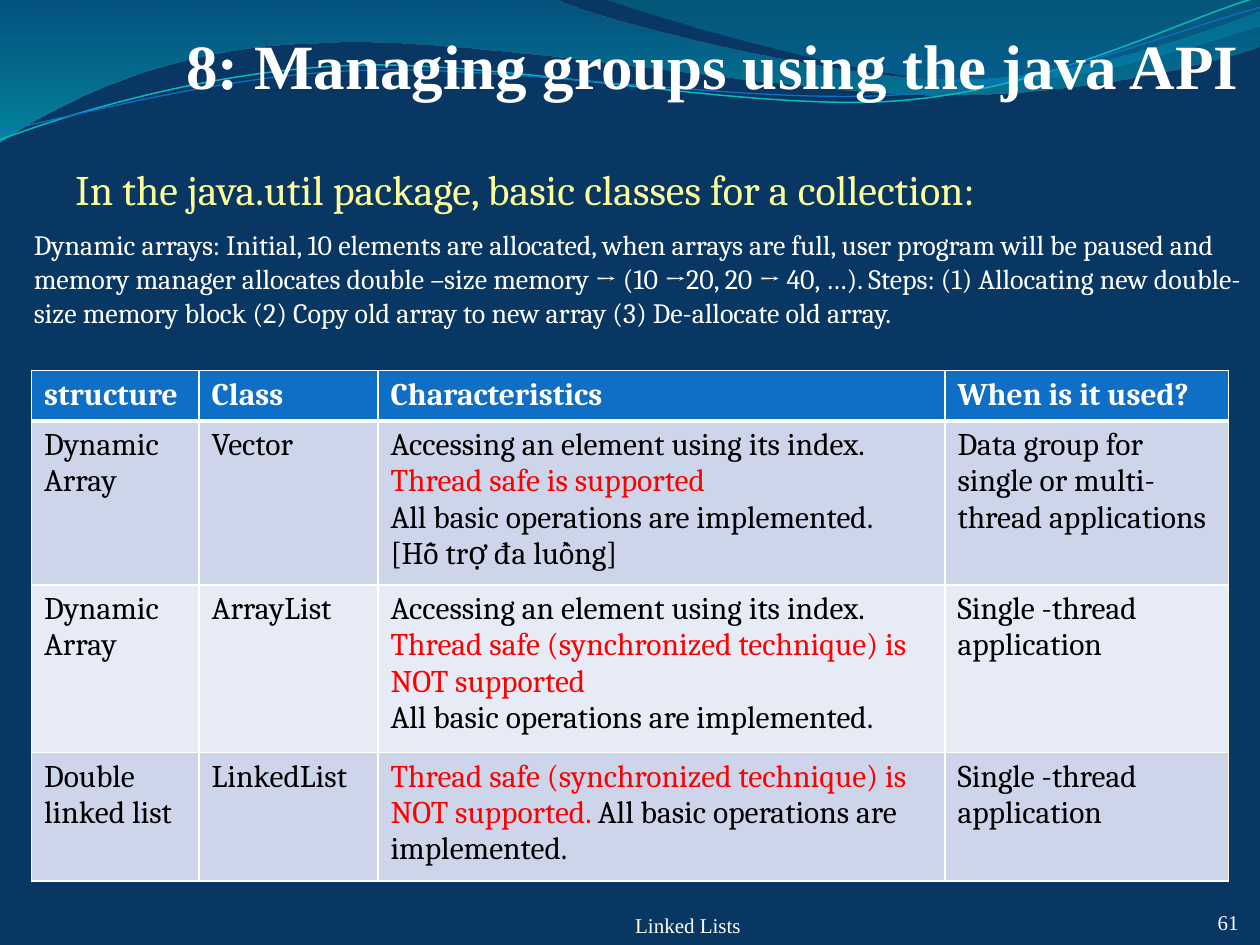
from math import cos, radians, sin

from pptx import Presentation
from pptx.dml.color import RGBColor
from pptx.enum.text import MSO_ANCHOR as Anchor, MSO_AUTO_SIZE as AutoSize, PP_ALIGN as Align
from pptx.oxml.ns import qn
from pptx.util import Inches, Pt
from lxml.etree import SubElement, Element

WHITE, BLACK, RED, YELLOW = "FFFFFF", "000000", "FF0000", "FFFF99"
NAVY, BLUE, TEAL = "083763", "0F6FC6", "0AB8BF"
BAND_DARK, BAND_LIGHT = "CCD5EA", "E7EBF5"
SERIF, BODY = "Times New Roman", "Cambria"
TILT = 357.3

BROAD_WAVE = [
    (0, 0), (4.4, -0.01),
    (4.76, 0.17, 6.64, 0.63, 7.58, 0.63), (8.53, 0.63, 9.58, 0.26, 10, 0.09),
    (10.01, 0.36),
    (9.83, 0.44, 8.7, 0.76, 7.46, 0.75), (6.22, 0.75, 3.82, 0.28, 2.57, 0.34),
    (1.29, 0.36, 0.46, 0.83, -0.01, 1.13), (0, 0)]
RIGHT_WAVE = [
    (4.79, -0.01),
    (5.09, 0.11, 6.82, 0.62, 7.69, 0.65), (8.56, 0.69, 9.61, 0.32, 10, 0.21),
    (10, 0), (4.79, -0.01)]
TEAL_STRAND = [
    (0, 1.11),
    (0.48, 0.93, 1.58, 0.57, 2.77, 0.52), (3.95, 0.47, 5.93, 0.89, 7.13, 0.8),
    (8.33, 0.71, 9.38, 0.15, 9.98, -0.02)]
BLUE_STRAND = [
    (0, 1.04),
    (0.47, 0.96, 1.64, 0.61, 2.83, 0.56), (4.03, 0.51, 5.97, 0.84, 7.17, 0.75),
    (8.36, 0.67, 9.41, 0.21, 10, 0.06)]

INDEXED = "Accessing an element using its index."
ALL_BASIC = "All basic operations are implemented."
NOT_SAFE = "Thread safe (synchronized technique) is NOT supported"
HEADINGS = ["structure", "Class", "Characteristics", "When is it used?"]
STRUCTURES = [
    ["Dynamic Array", "Vector",
     [[(INDEXED, BLACK)], [("Thread safe is supported", RED)],
      [(ALL_BASIC, BLACK)], [("[Hỗ trợ đa luồng]", BLACK)]],
     "Data group for single or multi-thread applications"],
    ["Dynamic Array", "ArrayList",
     [[(INDEXED + " ", BLACK), (NOT_SAFE, RED)], [(ALL_BASIC, BLACK)]],
     "Single -thread application"],
    ["Double linked list", "LinkedList",
     [[(NOT_SAFE + ". ", RED), (ALL_BASIC, BLACK)]],
     "Single -thread application"]]
ALLOCATION = (
    "Dynamic arrays: Initial, 10 elements are allocated, when arrays are full, "
    "user program will be paused and memory manager allocates double –size memory "
    "→ (10 →20, 20 → 40, …). Steps: (1) Allocating new double-size memory block "
    "(2) Copy old array to new array (3) De-allocate old array.")


def rgb(color):
    """Turn a hex string into a colour."""
    return RGBColor.from_string(color)


def add_run(paragraph, text, size, color, font=BODY, bold=False):
    """Append one formatted run."""
    run = paragraph.add_run()
    run.text = text
    run.font.size, run.font.name, run.font.bold = Pt(size), font, bold
    run.font.color.rgb = rgb(color)


def add_text(slide, box, text, size, color=WHITE, font=BODY, bold=False,
             align=Align.LEFT, anchor=Anchor.TOP, insets=None):
    """Place a line or paragraph of text; without insets the box fits its text."""
    frame = slide.shapes.add_textbox(*map(Inches, box)).text_frame
    frame.word_wrap = True
    frame.vertical_anchor = anchor
    if insets is None:
        frame.auto_size = AutoSize.SHAPE_TO_FIT_TEXT
    else:
        (frame.margin_left, frame.margin_top,
         frame.margin_right, frame.margin_bottom) = map(Inches, insets)
    paragraph = frame.paragraphs[0]
    paragraph.alignment = align
    add_run(paragraph, text, size, color, font, bold)


def untilt(points, angle):
    """Turn points back by an angle around the middle of their extent."""
    middle_x, middle_y = ((min(axis) + max(axis)) / 2 for axis in zip(*points))
    c, s = cos(radians(-angle)), sin(radians(-angle))
    return [(middle_x + (x - middle_x) * c - (y - middle_y) * s,
             middle_y + (x - middle_x) * s + (y - middle_y) * c) for x, y in points]


def add_outline(slide, origin, outline, close, tilt=0):
    """Draw an outline of lines and cubic curves relative to an origin."""
    left, top = origin
    nodes = [segment[i:i + 2] for segment in outline for i in range(0, len(segment), 2)]
    points = [(Inches(left + x), Inches(top + y)) for x, y in untilt(nodes, tilt)]
    builder = slide.shapes.build_freeform(*points[0])
    builder.add_line_segments(points[1:], close=close)
    shape = builder.convert_to_shape()
    shape.shadow.inherit = False
    shape.rotation = tilt
    lines = iter(list(shape._element.spPr.iter(qn("a:lnTo"))))
    for segment in outline[1:]:
        first = next(lines)
        if len(segment) == 6:
            first.tag = qn("a:cubicBezTo")
            for line in (next(lines), next(lines)):
                first.append(line[0])
                line.getparent().remove(line)
    return shape


def add_wave(slide, origin, outline, stops):
    """Draw a wave filled with a see-through downward gradient."""
    wave = add_outline(slide, origin, outline, True)
    wave.line.fill.background()
    wave.fill.gradient()
    wave.fill.gradient_angle = 270
    for stop, (position, color, _) in zip(wave.fill.gradient_stops, stops):
        stop.position = position
        stop.color.rgb = rgb(color)
    shades = wave._element.spPr.iter(qn("a:srgbClr"))
    for shade, (_, _, opacity) in zip(shades, stops):
        SubElement(shade, qn("a:alpha"), val=str(opacity * 1000))


def add_strand(slide, origin, outline, color, width):
    """Draw a thin curved line."""
    strand = add_outline(slide, origin, outline, False, TILT)
    strand.fill.background()
    strand.line.color.rgb = rgb(color)
    strand.line.width = Pt(width)


def add_backdrop(slide, origin):
    """Colour the background and lay the waves across its top."""
    slide.background.fill.solid()
    slide.background.fill.fore_color.rgb = rgb(NAVY)
    add_wave(slide, origin, BROAD_WAVE, [(0, "0074A1", 45), (1, "00C6CF", 55)])
    add_wave(slide, origin, RIGHT_WAVE, [(0, "00A1A9", 30), (0.8, "008BBF", 45)])
    add_strand(slide, origin, TEAL_STRAND, TEAL, 0.85)
    add_strand(slide, origin, BLUE_STRAND, BLUE, 0.75)


def add_borders(cell, top=1, bottom=1):
    """Rule a cell in white."""
    properties = cell._tc.get_or_add_tcPr()
    widths = {"a:lnL": 1, "a:lnR": 1, "a:lnT": top, "a:lnB": bottom}
    for index, (side, width) in enumerate(widths.items()):
        border = Element(qn(side), w=str(Pt(width)))
        SubElement(SubElement(border, qn("a:solidFill")), qn("a:srgbClr"), val=WHITE)
        properties.insert(index, border)


def add_structure_table(slide, box):
    """Compare the collection classes in a table."""
    rows = [HEADINGS] + STRUCTURES
    holder = slide.shapes.add_table(len(rows), len(HEADINGS), *map(Inches, box))
    table = holder.table
    for column, width in zip(table.columns, (1.33, 1.42, 4.5, 2.25)):
        column.width = Inches(width)
    for row, height in zip(table.rows, (0.17, 1, 1.33, 1.02)):
        row.height = Inches(height)
    holder.height = Inches(box[3])
    fills = [BLUE, BAND_DARK, BAND_LIGHT, BAND_DARK]
    for r, (entries, fill) in enumerate(zip(rows, fills)):
        header = r == 0
        for c, entry in enumerate(entries):
            cell = table.cell(r, c)
            cell.fill.solid()
            cell.fill.fore_color.rgb = rgb(fill)
            add_borders(cell, top=3 if r == 1 else 1, bottom=3 if header else 1)
            if isinstance(entry, str):
                entry = [[(entry, WHITE if header else BLACK)]]
            frame = cell.text_frame
            for p, runs in enumerate(entry):
                paragraph = frame.add_paragraph() if p else frame.paragraphs[0]
                for text, color in runs:
                    add_run(paragraph, text, 18, color, bold=header)


def add_footer(slide, box, text, align):
    """Place a footer entry."""
    add_text(slide, box, text, 12, font=SERIF, align=align,
             anchor=Anchor.BOTTOM, insets=(0, 0, 0, 0))


def main():
    """Build and save the slide."""
    deck = Presentation()
    deck.slide_width, deck.slide_height = Inches(10), Inches(7.5)
    slide = deck.slides.add_slide(deck.slide_layouts[6])
    add_backdrop(slide, (0, 0))
    add_text(slide, (0.5, 0.08, 9.33, 0.73), "8: Managing groups using the java API", 36,
             font=SERIF, bold=True, align=Align.RIGHT, anchor=Anchor.BOTTOM,
             insets=(0, 0.05, 0, 0))
    add_structure_table(slide, (0.25, 2.94, 9.5, 4.06))
    add_text(slide, (0.5, 1.25, 9.25, 0.5),
             "In the java.util package, basic classes for a collection:", 24, YELLOW)
    add_footer(slide, (9.25, 7.17, 0.58, 0.25), "61", Align.RIGHT)
    add_footer(slide, (3.92, 7.17, 3.08, 0.27), "Linked Lists", Align.CENTER)
    add_text(slide, (0.17, 1.76, 9.83, 0.91), ALLOCATION, 16)
    deck.save("out.pptx")


if __name__ == "__main__":
    main()
